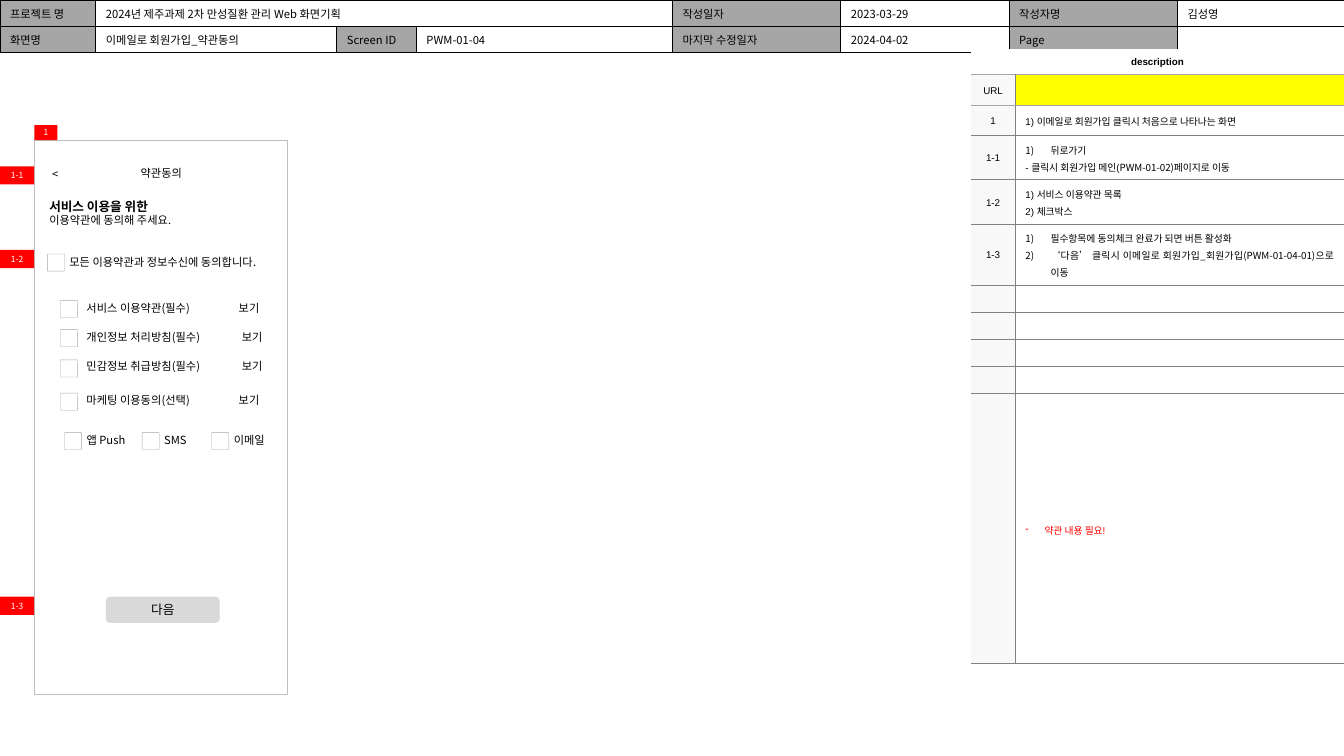
"""Build the screen plan slide for the e-mail sign-up terms page."""
import pptx
import pptx.util
import pptx.dml.color
import pptx.enum.shapes
import pptx.enum.text
import pptx.oxml.ns
from lxml import etree

Inches = pptx.util.Inches
qn = pptx.oxml.ns.qn
SHAPE = pptx.enum.shapes.MSO_SHAPE
ALIGN = pptx.enum.text.PP_ALIGN
MIDDLE = pptx.enum.text.MSO_ANCHOR.MIDDLE
NOTO = "Noto Sans CJK KR"
COLORS = {
    "black": "000000", "white": "FFFFFF", "red": "FF0000", "yellow": "FFFF00",
    "label": "A6A6A6", "number": "F8F8F8", "rule": "808080", "frame": "BFBFBF",
    "button": "D9D9D9",
}
RGB = {name: pptx.dml.color.RGBColor.from_string(value) for name, value in COLORS.items()}


def write(para, text, size, color="black", font=NOTO, bold=False, align=None):
    """Add one formatted run to a paragraph."""
    if align is not None:
        para.alignment = align
    span = para.add_run()
    span.text = text
    values = {"size": pptx.util.Pt(size), "name": font, "bold": bold}
    for key, value in values.items():
        setattr(span.font, key, value)
    span.font.color.rgb = RGB[color]
    etree.SubElement(span.font._element, qn("a:ea"), typeface=NOTO)


def dress(cell, fill, borders, size):
    """Fill a cell, draw its borders and size its empty paragraph."""
    cell.vertical_anchor = MIDDLE
    cell.fill.solid()
    cell.fill.fore_color.rgb = RGB[fill]
    properties = cell._tc.get_or_add_tcPr()
    for index, side in enumerate("LRTB"):
        color, width = borders.get(side, (None, 0))
        line = etree.Element(qn("a:ln" + side), w=str(int(width * 12700)))
        if color:
            solid = etree.SubElement(line, qn("a:solidFill"))
            etree.SubElement(solid, qn("a:srgbClr"), val=COLORS[color])
        else:
            etree.SubElement(line, qn("a:noFill"))
        properties.insert(index, line)
    if not cell.text_frame.text:
        etree.SubElement(cell.text_frame.paragraphs[0]._p, qn("a:endParaRPr"), sz=str(size * 100))


deck = pptx.Presentation()
deck.slide_width, deck.slide_height = Inches(13.33), Inches(7.5)
page = deck.slides.add_slide(deck.slide_layouts[6])

header_rows = [
    ["프로젝트 명", "2024년 제주과제 2차 만성질환 관리 Web 화면기획", "", "",
     "작성일자", "2023-03-29", "작성자명", "김성영"],
    ["화면명", "이메일로 회원가입_약관동의", "Screen ID", "PWM-01-04",
     "마지막 수정일자", "2024-04-02", "Page", ""],
]
header = page.shapes.add_table(2, 8, 0, 0, Inches(13.33), Inches(0.52)).table
for column, width in zip(header.columns, [0.95, 2.39, 0.79, 2.54, 1.67, 1.67, 1.67, 1.66]):
    column.width = Inches(width)
for row, texts in enumerate(header_rows):
    header.rows[row].height = Inches(0.26)
    for column, text in enumerate(texts):
        cell = header.cell(row, column)
        if text:
            write(cell.text_frame.paragraphs[0], text, 8)
        fill = "label" if column % 2 == 0 and text else "white"
        dress(cell, fill, dict.fromkeys("LRTB", ("black", 1)), 8)
header.cell(0, 1).merge(header.cell(0, 3))

description_rows = [
    (0.25, "description", []),
    (0.3, "URL", []),
    (0.3, "1", [("", "1) 이메일로 회원가입 클릭시 처음으로 나타나는 화면")]),
    (0.44, "1-1", [("1)", "뒤로가기"), ("", "- 클릭시 회원가입 메인(|PWM-01-02)|페이지로 이동")]),
    (0.44, "1-2", [("", "1) 서비스 이용약관 목록"), ("", "2) 체크박스")]),
    (0.6, "1-3", [("1)", "필수항목에 동의체크 완료가 되면 버튼 활성화"),
                  ("1)", "‘다음’ 클릭시 |이메일로 회원가입_회원가입(PWM-01-04-01)|으로 이동")]),
    *[(0.27, "", [])] * 4,
    (2.68, "", [("-", "약관 내용 필요!")]),
]
description = page.shapes.add_table(
    len(description_rows), 2, Inches(9.63), Inches(0.49), Inches(3.7), Inches(6.09)).table
description.columns[0].width = Inches(0.44)
description.columns[1].width = Inches(3.26)
for row, (height, number, notes) in enumerate(description_rows):
    description.rows[row].height = Inches(height)
    label, detail = description.cell(row, 0), description.cell(row, 1)
    if number:
        para = label.text_frame.paragraphs[0]
        para.line_spacing = 1.2 if row else 1.0
        write(para, number, 7, font="Arial", bold=row == 0, align=ALIGN.CENTER)
    for index, (bullet, text) in enumerate(notes):
        frame = detail.text_frame
        para = frame.add_paragraph() if index else frame.paragraphs[0]
        para.line_spacing = 1.2
        if bullet:
            indent = Inches(0.19 if bullet == "-" else 0.25)
            settings = para._p.get_or_add_pPr()
            settings.set("marL", str(indent))
            settings.set("indent", str(-indent))
            if bullet == "-":
                etree.SubElement(settings, qn("a:buChar"), char=bullet)
            else:
                etree.SubElement(settings, qn("a:buAutoNum"), type="arabicParenR")
        for part, words in enumerate(text.split("|")):
            write(para, words, 7, "red" if bullet == "-" else "black",
                  NOTO if part % 2 else "Arial", align=ALIGN.JUSTIFY)
    top = ("label" if row < 3 else "rule", 0.25)
    bottom = ("label" if row < 2 else "rule", 0.25)
    if row == 0:
        label_borders = detail_borders = {"B": bottom}
    else:
        label_borders = {"R": ("rule", 0.25), "T": top, "B": bottom}
        detail_borders = {"L": ("rule", 0.25), "T": top, "B": ("rule", 0.25)}
    dress(label, "number" if row else "white", label_borders, 7)
    dress(detail, "yellow" if number == "URL" else "white", detail_borders, 7)
description.cell(0, 0).merge(description.cell(0, 1))

checkboxes = [(0.47, 2.52), (0.6, 2.98), (0.6, 3.27), (0.6, 3.57), (0.6, 3.9),
              (0.64, 4.29), (1.41, 4.29), (2.1, 4.29)]
blocks = [
    (SHAPE.RECTANGLE, 0.34, 1.39, 2.51, 5.5, "white", "frame", "", 0, "black"),
    (SHAPE.RECTANGLE, 0.34, 1.24, 0.23, 0.15, "red", None, "1", 6, "white"),
    (SHAPE.RECTANGLE, 0.68, 5.25, 1.74, 0.52, "white", None, "", 0, "black"),
    (SHAPE.ROUNDED_RECTANGLE, 1.05, 5.92, 1.13, 0.26, "button", None, "다음", 9, "black"),
    *[(SHAPE.ROUNDED_RECTANGLE, left, top, 0.17, 0.17, "white", "label", "", 0, "black")
      for left, top in checkboxes],
    *[(SHAPE.RECTANGLE, 0, top, 0.34, 0.18, "red", None, f"1-{step}", 6, "white")
      for step, top in enumerate([1.65, 2.48, 5.92], 1)],
]
for kind, left, top, width, height, fill, line, text, size, color in blocks:
    block = page.shapes.add_shape(kind, Inches(left), Inches(top), Inches(width), Inches(height))
    block.shadow.inherit = False
    block.fill.solid()
    block.fill.fore_color.rgb = RGB[fill]
    if line:
        block.line.color.rgb = RGB[line]
        block.line.width = pptx.util.Pt(0.25)
    else:
        block.line.fill.background()
    if kind == SHAPE.ROUNDED_RECTANGLE and not text:
        block.adjustments[0] = 0.035
    if text:
        frame = block.text_frame
        for side in ("left", "right", "top", "bottom"):
            setattr(frame, "margin_" + side, 0)
        frame.vertical_anchor = MIDDLE
        write(frame.paragraphs[0], text, size, color, align=ALIGN.CENTER)

labels = [
    (1.14, 1.6, 0.92, "약관동의", ALIGN.CENTER, None),
    (0.42, 1.61, 0.23, "<", ALIGN.CENTER, None),
    (0.39, 1.92, 1.61, "이용약관에 동의해 주세요.", None, None),
    (0.59, 2.48, 2.3, "모든 이용약관과 정보수신에 동의합니다.", None, None),
    (0.76, 2.94, 2.3, "서비스 이용약관(필수)\t보기", None, 1.51),
    (0.76, 3.23, 2.3, "개인정보 처리방침(필수)\t보기", None, 1.54),
    (0.76, 3.52, 2.3, "민감정보 취급방침(필수)\t보기", None, 1.54),
    (0.76, 3.85, 2.3, "마케팅 이용동의(선택)\t보기", None, 1.51),
    (0.76, 4.25, 0.65, "앱 Push", None, None),
    (1.53, 4.25, 0.65, "SMS", None, None),
    (2.22, 4.25, 0.65, "이메일", None, None),
]
for left, top, width, text, align, stop in labels:
    heading = text.startswith("이용약관에")
    box = page.shapes.add_textbox(
        Inches(left), Inches(top), Inches(width), Inches(0.39 if heading else 0.24))
    box.text_frame.word_wrap = True
    para = box.text_frame.paragraphs[0]
    if stop:
        stops = etree.SubElement(para._p.get_or_add_pPr(), qn("a:tabLst"))
        etree.SubElement(stops, qn("a:tab"), pos=str(Inches(stop)), algn="l")
    if heading:
        write(para, "서비스 이용을 위한", 9, bold=True)
        para.add_line_break()
    write(para, text, 8, align=align)

deck.save("out.pptx")
